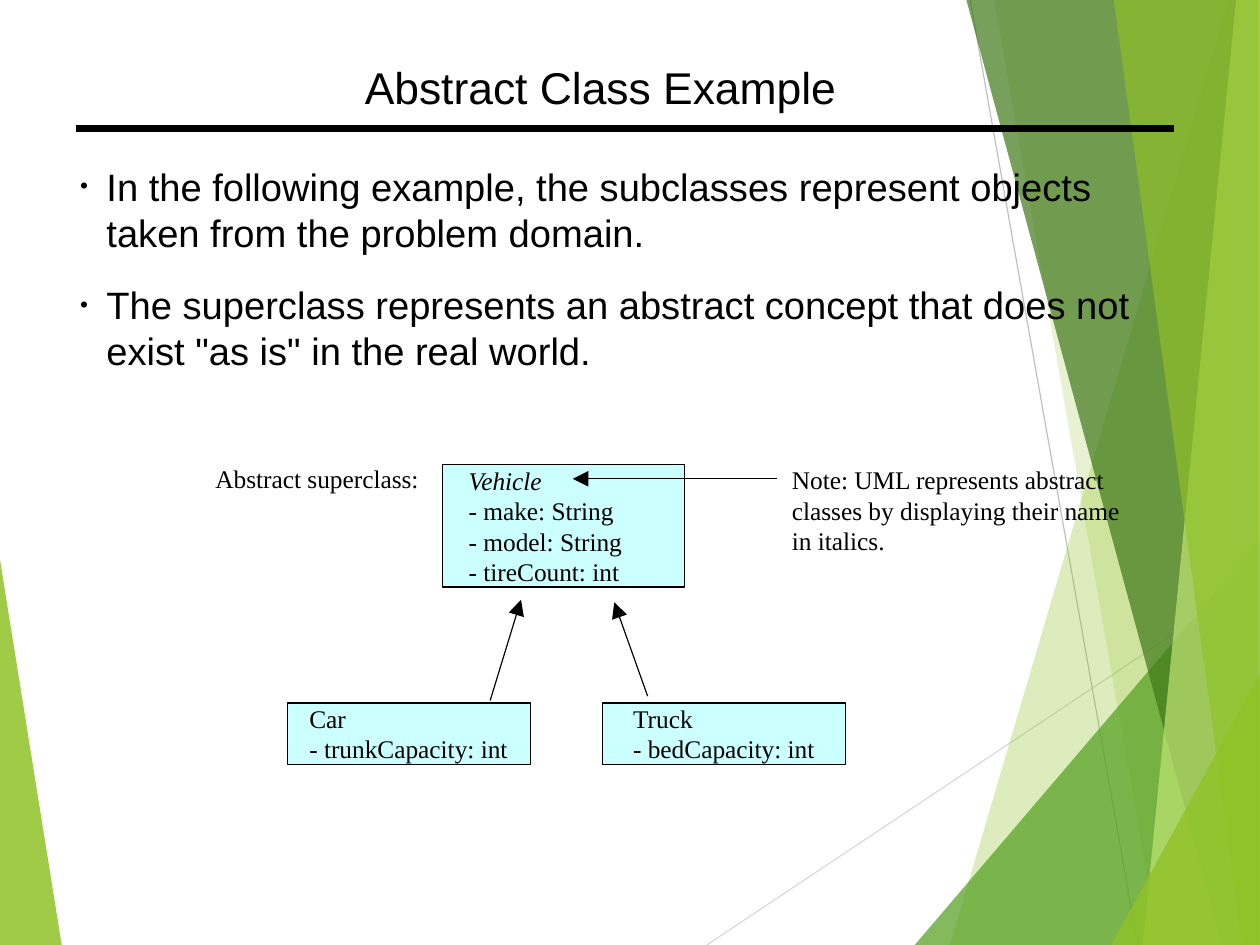
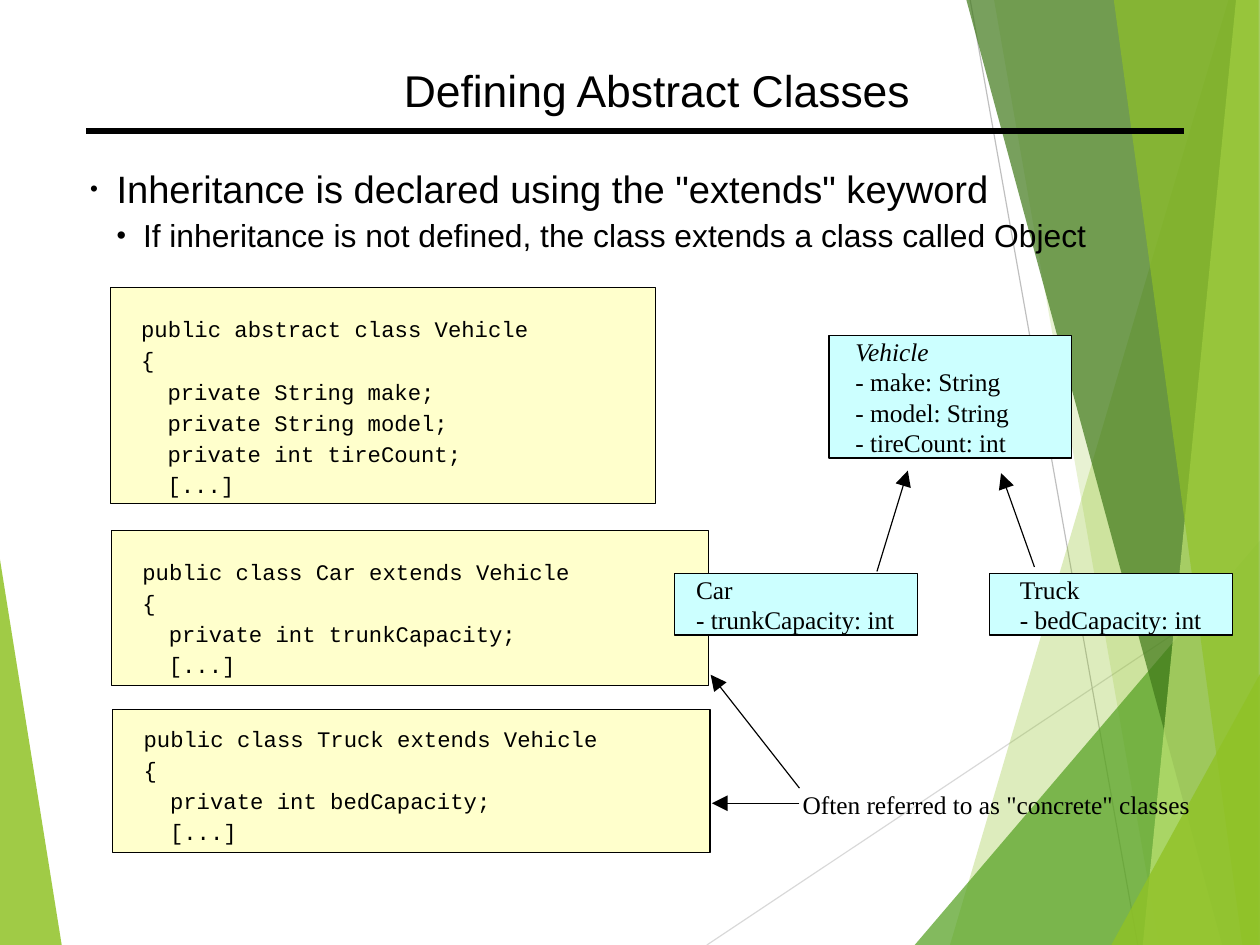
from dataclasses import dataclass

from lxml.etree import SubElement
from pptx import Presentation
from pptx.dml.color import RGBColor
from pptx.enum.shapes import MSO_CONNECTOR, MSO_SHAPE
from pptx.enum.text import MSO_ANCHOR, MSO_AUTO_SIZE, PP_ALIGN
from pptx.oxml.ns import qn
from pptx.util import Cm, Pt


@dataclass(frozen=True)
class Theme:
    ink: str = "000000"
    uml: str = "CCFFFF"
    code: str = "FFFFCC"
    lime: str = "90C226"
    leaf: str = "54A021"
    moss: str = "3F7819"
    pale: str = "C0E474"
    sans: str = "Arial"
    serif: str = "Times New Roman"
    mono: str = "Courier New"
    title: int = 28
    body: int = 24
    sub: int = 20
    label: int = 16
    small: int = 14
    thin: float = 0.75
    thick: float = 4.31
    lead: float = 1.0
    gap: float = 2.8


THEME = Theme()
WIDTH, HEIGHT = Cm(28), Cm(21)
COLS, ROWS = 100, 75
INDENT = 2.1

# colour, opacity in percent, corners in columns and rows
SHARDS = [
    (THEME.lime, 30, [(97.5, 0), (75.4, ROWS), (COLS, ROWS), (COLS, 0)]),
    (THEME.lime, 20, [(78.9, 0), (92, ROWS), (COLS, ROWS), (COLS, 0)]),
    (THEME.leaf, 72, [(72.6, ROWS), (COLS, 42.9), (COLS, ROWS)]),
    (THEME.moss, 70, [(76.7, 0), (97, ROWS), (COLS, ROWS), (COLS, 0)]),
    (THEME.pale, 70, [(98.1, 0), (90.7, ROWS), (COLS, ROWS), (COLS, 0)]),
    (THEME.lime, 65, [(88.4, 0), (98.6, ROWS), (99.9, ROWS), (99.9, 0)]),
    (THEME.lime, 80, [(88.2, ROWS), (COLS, 53.5), (COLS, ROWS)]),
]


def grid(*nums):
    """Turn alternating columns and rows into lengths."""
    return [round(n * (HEIGHT / ROWS if i % 2 else WIDTH / COLS))
            for i, n in enumerate(nums)]


def rgb(code):
    return RGBColor.from_string(code)


def shard(slide, color, alpha, pts):
    spots = [grid(*p) for p in pts]
    pen = slide.shapes.build_freeform(*spots[0], scale=1.0)
    pen.add_line_segments(spots[1:], close=True)
    shape = pen.convert_to_shape()
    shape.shadow.inherit = False
    shape.line.fill.background()
    shape.fill.solid()
    shape.fill.fore_color.rgb = rgb(color)
    tint = next(shape.element.iter(qn("a:srgbClr")))
    SubElement(tint, qn("a:alpha")).set("val", str(alpha * 1000))
    return shape


def line(slide, start, end, color=THEME.ink, width=THEME.thin, arrow=False):
    link = slide.shapes.add_connector(
        MSO_CONNECTOR.STRAIGHT, *grid(*start), *grid(*end))
    link.line.color.rgb = rgb(color)
    link.line.width = Pt(width)
    props = link.element.spPr
    if arrow:
        SubElement(props.find(qn("a:ln")), qn("a:tailEnd"),
                   type="triangle", w="lg", len="lg")
    SubElement(props, qn("a:effectLst"))
    return link


def decor(slide, layout):
    """Draw the green background and hand it to the layout."""
    parts = [
        shard(slide, THEME.lime, 85, [(0, 44.4), (4.9, ROWS), (0, ROWS)]),
        line(slide, (56.1, ROWS), (COLS, 45.75), "D9D9D9"),
        line(slide, (77, 0), (90.3, ROWS), "BFBFBF"),
    ]
    parts += [shard(slide, *row) for row in SHARDS]
    for num, part in enumerate(parts, 20):
        next(part.element.iter(qn("p:cNvPr"))).set("id", str(num))
        layout.shapes.element.append(part.element)


def setup(frame, left=0, top=0, wrap=True, anchor=MSO_ANCHOR.TOP):
    frame.auto_size = MSO_AUTO_SIZE.NONE
    frame.word_wrap = wrap
    frame.vertical_anchor = anchor
    frame.margin_left, frame.margin_top = grid(left, top)
    frame.margin_right = frame.margin_bottom = 0


def write(frame, rows, font, size, gap=0):
    """Fill a frame with one paragraph per row and return the paragraphs."""
    paras = []
    for i, text in enumerate(rows):
        para = frame.add_paragraph() if i else frame.paragraphs[0]
        para.alignment = PP_ALIGN.LEFT
        para.line_spacing = THEME.lead
        para.space_before = Pt(gap)
        run = para.add_run()
        run.text = text
        run.font.name = font
        run.font.size = Pt(size)
        run.font.color.rgb = rgb(THEME.ink)
        paras.append(para)
    return paras


def margin(para, left, hang=0):
    props = para._p.get_or_add_pPr()
    props.set("marL", str(grid(left)[0]))
    props.set("indent", str(-grid(hang)[0]))
    return props


def bullet(para, level):
    para.level = level
    props = margin(para, INDENT * (level + 1), INDENT)
    tint = SubElement(props, qn("a:buClr"))
    SubElement(tint, qn("a:srgbClr")).set("val", THEME.ink)
    SubElement(props, qn("a:buSzPct")).set("val", ("59000", "85000")[level])
    SubElement(props, qn("a:buFont")).set("typeface", THEME.sans)
    SubElement(props, qn("a:buChar")).set("char", "•")


def place(shape, *spot):
    shape.left, shape.top, shape.width, shape.height = grid(*spot)
    setup(shape.text_frame)


def page(slide, title, left, items, dx=0, dy=0):
    """Add title, rule and bullets; each item is text, level and gap."""
    head, body = slide.placeholders
    place(head, left, 4.8 + dy, 48, 4.3)
    write(head.text_frame, [title], THEME.sans, THEME.title)
    line(slide, (6.05 + dx, 10.2 + dy), (93.15 + dx, 10.2 + dy),
         width=THEME.thick)
    place(body, 6.35 + dx, 12.95 + dy, 85, 16.7)
    paras = write(body.text_frame, [item[0] for item in items],
                  THEME.sans, THEME.body)
    for para, (_, level, gap) in zip(paras, items):
        para.space_before = Pt(gap)
        para.runs[0].font.size = Pt((THEME.body, THEME.sub)[level])
        bullet(para, level)


def box(slide, spot, fill):
    shape = slide.shapes.add_shape(MSO_SHAPE.RECTANGLE, *grid(*spot))
    shape.shadow.inherit = False
    shape.fill.solid()
    shape.fill.fore_color.rgb = rgb(fill)
    shape.line.color.rgb = rgb(THEME.ink)
    shape.line.width = Pt(THEME.thin)
    return shape.text_frame


def entity(slide, spot, pad, rows):
    frame = box(slide, spot, THEME.uml)
    setup(frame, pad, anchor=MSO_ANCHOR.MIDDLE)
    return write(frame, rows, THEME.serif, THEME.label)


def tree(slide, x, y):
    """Draw the class diagram from the top left of its superclass."""
    wide, low = 19.25, y + 18.9
    top = entity(slide, (x, y, wide, 9.7), 2.1,
                 ["Vehicle", "- make: String", "- model: String",
                  "- tireCount: int"])
    top[0].runs[0].font.italic = True
    entity(slide, (x - 12.25, low, wide, 4.85), 1.7,
           ["Car", "- trunkCapacity: int"])
    entity(slide, (x + 12.75, low, wide, 4.85), 2.4,
           ["Truck", "- bedCapacity: int"])
    line(slide, (x + 3.8, y + 18.7), (x + 6.25, y + 10.7), arrow=True)
    line(slide, (x + 16.3, y + 18.35), (x + 13.65, y + 10.9), arrow=True)


def code(slide, spot, top, name, fields):
    """Draw a listing whose body is indented under its brace."""
    frame = box(slide, spot, THEME.code)
    setup(frame, 2.45, top)
    rows = [name, "{", *fields, "[...]"]
    paras = write(frame, rows, THEME.mono, THEME.small, THEME.gap)
    for para in paras[2:]:
        margin(para, INDENT)


def label(slide, spot, *rows):
    frame = slide.shapes.add_textbox(*grid(*spot)).text_frame
    setup(frame, wrap=False)
    write(frame, rows, THEME.serif, THEME.label)


def example(slide):
    page(slide, "Abstract Class Example", 28.95, [
        ("In the following example, the subclasses represent objects "
         "taken from the problem domain.", 0, THEME.gap),
        ("The superclass represents an abstract concept that does not "
         'exist "as is" in the real world.', 0, 17)])
    tree(slide, 35.1, 36.9)
    label(slide, (17.1, 36.75, 16.2, 2.45), "Abstract superclass:")
    label(slide, (62.85, 36.85, 26, 7.25), "Note: UML represents abstract",
          "classes by displaying their name", "in italics.")
    line(slide, (61.7, 38), (45.45, 38), arrow=True)


def define(slide):
    page(slide, "Defining Abstract Classes", 32.05, [
        ('Inheritance is declared using the "extends" keyword', 0, THEME.gap),
        ("If inheritance is not defined, the class extends a class "
         "called Object", 1, THEME.gap)], 0.8, 0.2)
    code(slide, (8.75, 22.85, 43.25, 17.15), 2.2,
         "public abstract class Vehicle",
         ["private String make;", "private String model;",
          "private int tireCount;"])
    code(slide, (8.85, 42.1, 47.4, 12.3), 2.2,
         "public class Car extends Vehicle", ["private int trunkCapacity;"])
    code(slide, (8.95, 56.3, 47.4, 11.35), 1.25,
         "public class Truck extends Vehicle", ["private int bedCapacity;"])
    tree(slide, 65.8, 26.65)
    label(slide, (63.7, 62.6, 30.8, 2.45),
          'Often referred to as "concrete" classes')
    line(slide, (63.45, 63.75), (56.5, 63.75), arrow=True)
    line(slide, (63.45, 62.55), (56.4, 53.55), arrow=True)


def main():
    deck = Presentation()
    deck.slide_width, deck.slide_height = WIDTH, HEIGHT
    layout = deck.slide_layouts[1]
    first, second = [deck.slides.add_slide(layout) for _ in range(2)]
    decor(first, layout)
    example(first)
    define(second)
    deck.save("out.pptx")


if __name__ == "__main__":
    main()
